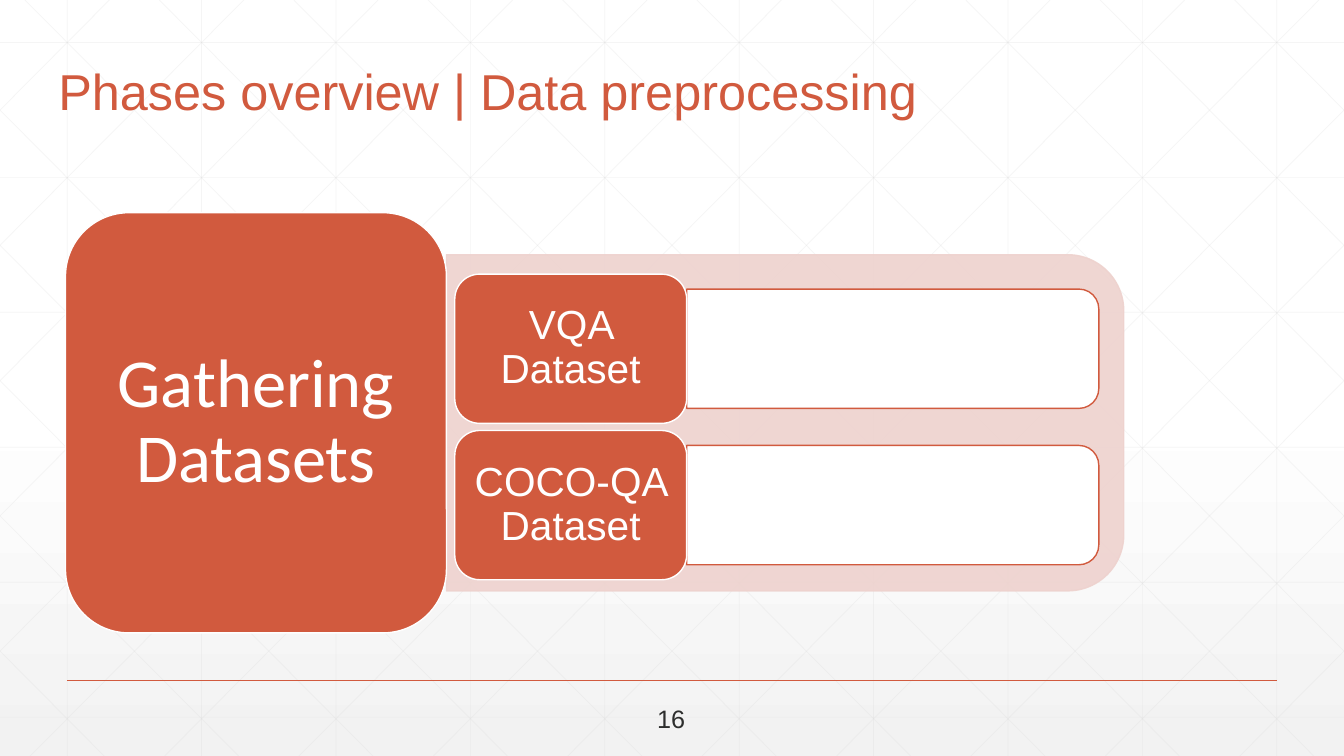
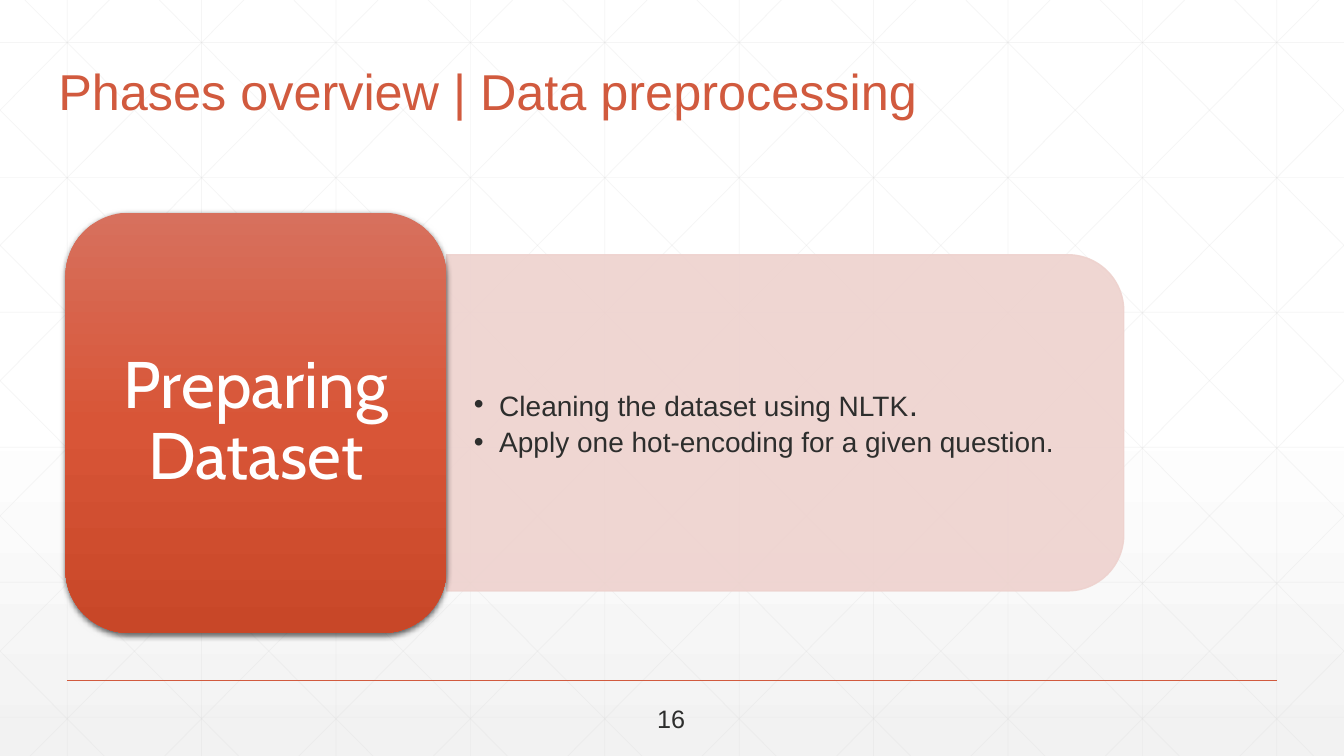
from dataclasses import dataclass

from lxml import etree
from pptx import Presentation
from pptx.dml.color import RGBColor
from pptx.enum.shapes import MSO_CONNECTOR, MSO_SHAPE
from pptx.enum.text import MSO_ANCHOR, MSO_AUTO_SIZE, PP_ALIGN
from pptx.oxml.ns import qn
from pptx.util import Cm, Pt

STRAIGHT = MSO_CONNECTOR.STRAIGHT
ROUNDED = MSO_SHAPE.ROUNDED_RECTANGLE
TWO_ROUNDED = MSO_SHAPE.ROUND_2_SAME_RECTANGLE
LEFT, CENTER = PP_ALIGN.LEFT, PP_ALIGN.CENTER
MIDDLE, BOTTOM = MSO_ANCHOR.MIDDLE, MSO_ANCHOR.BOTTOM
NO_FIT, GROW = MSO_AUTO_SIZE.NONE, MSO_AUTO_SIZE.SHAPE_TO_FIT_TEXT

COLORS = {
    "accent": "D15A3E",
    "band": "EED2CE",
    "white": "FFFFFF",
    "text": "2D2E2D",
    "grid": "D9D9D9",
    "page_end": "F2F2F2",
    "glow_top": "D7705D",
    "glow_middle": "D85537",
    "glow_bottom": "C84728",
    "shadow": "000000",
}
WIDTH, HEIGHT = 33.87, 19.05
PITCH = WIDTH / 10
LABEL_SHARE, BAND_HEIGHT = 0.36, 0.8


@dataclass
class Box:
    """A rectangle in centimetres."""

    left: float
    top: float
    width: float
    height: float

    def lengths(self):
        """Return the four lengths for python-pptx."""
        return Cm(self.left), Cm(self.top), Cm(self.width), Cm(self.height)


PANEL = Box(1.65, 5.36, 26.67, 10.59)


def rgb(name):
    """Return the named colour."""
    return RGBColor.from_string(COLORS[name])


def set_alpha(element, percent):
    """Make every colour inside the element translucent."""
    for color in list(element.iter(qn("a:srgbClr"))):
        etree.SubElement(color, qn("a:alpha"), val=str(percent * 1000))


def set_gradient(fill, owner, stops):
    """Give the fill a downward gradient of (position, colour, alpha) stops."""
    fill.gradient()
    fill.gradient_angle = 270
    stop_list = next(owner.iter(qn("a:gsLst")))
    for old_stop in list(stop_list):
        stop_list.remove(old_stop)
    for position, color, alpha in stops:
        stop = etree.SubElement(stop_list, qn("a:gs"), pos=str(position * 1000))
        etree.SubElement(stop, qn("a:srgbClr"), val=COLORS[color])
        set_alpha(stop, alpha)


def write(paragraph, text, size, color="text", font="Arial", align=LEFT, spacing=0.9):
    """Add a formatted run to the paragraph."""
    paragraph.alignment = align
    paragraph.line_spacing = spacing
    run = paragraph.add_run()
    run.text = text
    run.font.size = Pt(size)
    run.font.name = font
    run.font.color.rgb = rgb(color)


def set_frame(frame, across, down, anchor=MIDDLE):
    """Set the margins and anchor of a wrapping text frame."""
    frame.word_wrap = True
    frame.auto_size = NO_FIT
    frame.vertical_anchor = anchor
    frame.margin_left = frame.margin_right = Cm(across)
    frame.margin_top = frame.margin_bottom = Cm(down)


def add_rule(slide, start, end, color, weight, alpha=100):
    """Draw a straight line between two points in centimetres."""
    rule = slide.shapes.add_connector(STRAIGHT, *(Cm(value) for value in start + end))
    rule.line.color.rgb = rgb(color)
    rule.line.width = Pt(weight)
    properties = rule.element.spPr
    etree.SubElement(properties, qn("a:effectLst"))
    if alpha < 100:
        set_alpha(properties, alpha)
    return rule


def grid_lines():
    """Return the end points of the background grid."""
    lines = [((x, 0), (x, HEIGHT)) for x in (PITCH * (i + 0.5) for i in range(10))]
    lines += [((0, y), (WIDTH, y)) for y in (1.07 + 3.4 * i for i in range(6))]
    run = 18.93
    slope = HEIGHT / run
    for i in range(-5, 10):
        x = 0.63 + PITCH * i
        first, last = max(x, 0), min(x + run, WIDTH)
        top, bottom = (first - x) * slope, (last - x) * slope
        lines.append(((first, top), (last, bottom)))
        lines.append(((WIDTH - first, top), (WIDTH - last, bottom)))
    return lines


def build_master(master, drafting_slide):
    """Put the page gradient, grid and footer rule on the master."""
    set_gradient(
        master.background.fill,
        master.element,
        [(0, "white", 100), (53, "white", 100), (100, "page_end", 65)],
    )
    rules = [add_rule(drafting_slide, *ends, "grid", 0.5, 25) for ends in grid_lines()]
    footer_ends = (PITCH / 2, 17.15), (WIDTH - PITCH / 2, 17.15)
    rules.append(add_rule(drafting_slide, *footer_ends, "accent", 1))
    for number, rule in enumerate(rules, 100):
        rule.element.nvCxnSpPr.cNvPr.set("id", str(number))
        master.element.cSld.spTree.append(rule.element)


def add_heading(slide, text):
    """Fill the title placeholder."""
    title = slide.shapes.title
    title.left, title.top, title.width, title.height = Box(1.22, 1.35, 26.67, 3.17).lengths()
    set_frame(title.text_frame, 0.25, 0.13, BOTTOM)
    title.text_frame.margin_bottom = Cm(1.45)
    write(title.text_frame.paragraphs[0], text, 36, "accent")


def add_page_number(slide, text):
    """Write the page number below the footer rule."""
    number = slide.shapes.add_textbox(*Box(16.31, 17.6, 1.22, 1.02).lengths())
    number.text_frame.word_wrap = False
    number.text_frame.auto_size = GROW
    write(number.text_frame.paragraphs[0], text, 18, spacing=1)


def add_band(slide, box, fill, line, alpha=100):
    """Draw a band rounded on its right end and return it."""
    shift = (box.width - box.height) / 2
    upright = Box(box.left + shift, box.top - shift, box.height, box.width)
    band = slide.shapes.add_shape(TWO_ROUNDED, *upright.lengths())
    band.rotation = 90
    band.shadow.inherit = False
    band.fill.solid()
    band.fill.fore_color.rgb = rgb(fill)
    band.line.color.rgb = rgb(line)
    band.line.width = Pt(1)
    if alpha < 100:
        set_alpha(band.element.spPr, alpha)
    return band


def add_label(slide, box, text, size, font="Arial", margins=(0.25, 0.15), glossy=False):
    """Draw a rounded label, plain or glossy with a shadow."""
    label = slide.shapes.add_shape(ROUNDED, *box.lengths())
    label.shadow.inherit = False
    if glossy:
        set_gradient(
            label.fill,
            label.element,
            [(0, "glow_top", 100), (50, "glow_middle", 100), (100, "glow_bottom", 100)],
        )
        label.line.fill.background()
        effects = next(label.element.iter(qn("a:effectLst")))
        shadow = etree.SubElement(
            effects, qn("a:outerShdw"), blurRad=str(Pt(4.5)), dist=str(Pt(1.5)),
            dir="5400000", rotWithShape="0",
        )
        etree.SubElement(shadow, qn("a:srgbClr"), val=COLORS["shadow"])
        set_alpha(shadow, 63)
    else:
        label.fill.solid()
        label.fill.fore_color.rgb = rgb("accent")
        label.line.color.rgb = rgb("white")
        label.line.width = Pt(1)
    set_frame(label.text_frame, *margins)
    write(label.text_frame.paragraphs[0], text, size, "white", font, CENTER)


def split_panel(box):
    """Return the label box and the lower band box beside it."""
    label_width = box.width * LABEL_SHARE
    band_height = box.height * BAND_HEIGHT
    label = Box(box.left, box.top, label_width, box.height)
    band = Box(
        box.left + label_width,
        box.top + (box.height - band_height) / 2,
        box.width - label_width,
        band_height,
    )
    return label, band


def add_phase(slide, box, text, size, font, glossy=False):
    """Draw a phase label with its pale band and return the band box."""
    label_box, band_box = split_panel(box)
    add_band(slide, band_box, "band", "band", 90)
    add_label(slide, label_box, text, size, font, (0.51, 0.25), glossy)
    return band_box


def add_datasets(slide, box, names):
    """Stack one labelled white band per dataset inside the box."""
    for index, name in enumerate(names):
        row = Box(box.left + 0.21, box.top + 0.49 + 3.94 * index, 16.23, 3.76)
        label_box, band_box = split_panel(row)
        add_band(slide, band_box, "white", "accent")
        add_label(slide, label_box, name, 29)


def add_steps(slide, box, steps):
    """Set the bulleted steps in the body placeholder, in front of the band."""
    body = slide.placeholders[1]
    inner = Box(box.left, box.top + 0.41, box.width - 0.41, box.height - 0.82)
    body.left, body.top, body.width, body.height = inner.lengths()
    frame = body.text_frame
    set_frame(frame, 0.69, 0.36)
    for index, runs in enumerate(steps):
        step = frame.add_paragraph() if index else frame.paragraphs[0]
        for text, size in runs:
            write(step, text, size)
        step.space_before = Pt(0)
        step.space_after = Pt(3)
        properties = step._p.get_or_add_pPr()
        properties.set("marL", str(Cm(0.64)))
        properties.set("indent", str(Cm(-0.64)))
        etree.SubElement(properties, qn("a:buFont"), typeface="Arial")
        etree.SubElement(properties, qn("a:buChar"), char="•")
    body.element.getparent().append(body.element)


def add_page(deck, layout_index):
    """Add a slide with the shared heading and page number."""
    slide = deck.slides.add_slide(deck.slide_layouts[layout_index])
    add_heading(slide, "Phases overview | Data preprocessing")
    add_page_number(slide, "16")
    return slide


def main():
    """Build and save the deck."""
    deck = Presentation()
    deck.slide_width, deck.slide_height = Cm(WIDTH), Cm(HEIGHT)

    gathering = add_page(deck, 5)
    build_master(deck.slide_master, gathering)
    band_box = add_phase(gathering, PANEL, "Gathering Datasets", 49, "Calibri")
    add_datasets(gathering, band_box, ["VQA Dataset", "COCO-QA Dataset"])

    preparing = add_page(deck, 1)
    band_box = add_phase(preparing, PANEL, "Preparing Dataset", 47, "Cabin", glossy=True)
    add_steps(preparing, band_box, [
        [("Cleaning the dataset using NLTK", 20), (".", 24)],
        [("Apply one hot-encoding for a given question.", 20)],
    ])
    deck.save("out.pptx")


if __name__ == "__main__":
    main()
